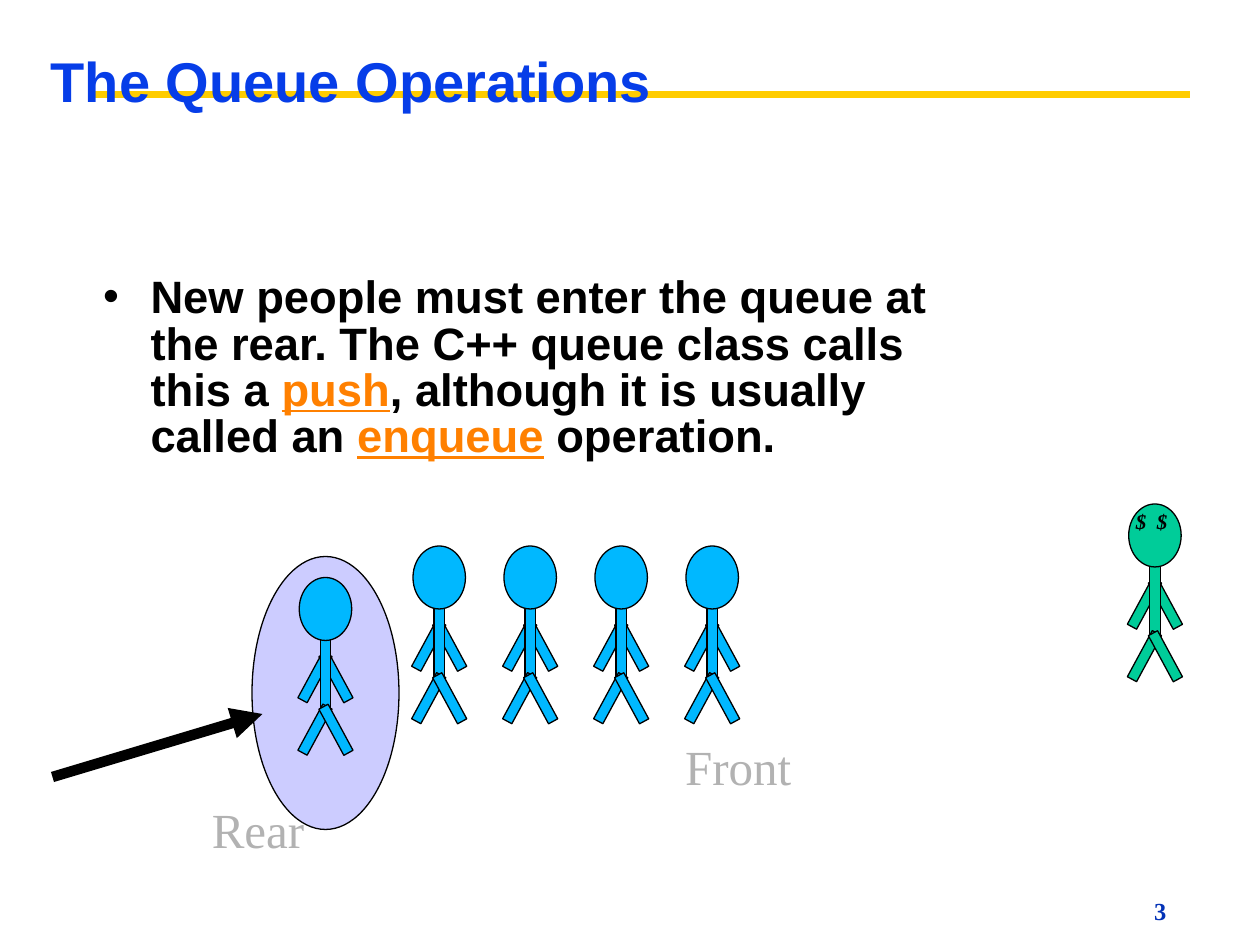
from pptx import Presentation
from pptx.dml.color import RGBColor
from pptx.enum.shapes import MSO_CONNECTOR as Connector, MSO_SHAPE as Shape
from pptx.oxml import parse_xml
from pptx.oxml.ns import nsdecls
from pptx.util import Pt

COLORS = {
    "title": "063DE8", "rule": "FFCC00", "black": "000000", "term": "FF8000",
    "label": "B2B2B2", "number": "0332B7", "halo": "CCCCFF",
    "customer": "00B8FF", "banker": "00CC99",
}


def write(shapes, text, at, size, color="black", font="Arial", bold=False,
          italic=False, spacing=None, insets=(5, 2.25), bullet=False, tab=None, terms=()):
    """Add a text box; words listed in terms are underlined and coloured."""
    box = shapes.add_textbox(*map(Pt, at))
    frame = box.text_frame
    frame.word_wrap = True
    frame.margin_left = frame.margin_right = Pt(insets[0])
    frame.margin_top = frame.margin_bottom = Pt(insets[1])
    para = frame.paragraphs[0]
    para.line_spacing = spacing
    props = para._p.get_or_add_pPr()
    if bullet:
        props.set("marL", str(Pt(27)))
        props.set("indent", str(-Pt(27)))
        props.append(parse_xml(f'<a:buFont {nsdecls("a")} typeface="Arial"/>'))
        props.append(parse_xml(f'<a:buChar {nsdecls("a")} char="•"/>'))
    if tab:
        props.append(parse_xml(
            f'<a:tabLst {nsdecls("a")}><a:tab pos="{Pt(tab)}" algn="l"/></a:tabLst>'))
    pieces = [text]
    for term in terms:
        before, after = pieces.pop().split(term, 1)
        pieces += [before, term, after]
    for piece in pieces:
        span = para.add_run()
        span.text = piece
        span.font.name = font
        span.font.size = Pt(size)
        span.font.bold = bold
        span.font.italic = italic
        span.font.underline = piece in terms
        span.font.color.rgb = RGBColor.from_string(
            COLORS["term" if piece in terms else color])


def draw(shapes, kind, at, fill, rotation=0):
    shape = shapes.add_shape(kind, *map(Pt, at))
    shape.shadow.inherit = False
    shape.rotation = rotation
    shape.fill.solid()
    shape.fill.fore_color.rgb = RGBColor.from_string(COLORS[fill])
    shape.line.color.rgb = RGBColor.from_string(COLORS["black"])
    shape.line.width = Pt(0.75)


deck = Presentation()
deck.slide_width, deck.slide_height = Pt(720), Pt(540)
page = deck.slides.add_slide(deck.slide_layouts[6])
shapes = page.shapes

# Title rule and the arrow to the rear of the queue
lines = []
for ends, color, width in [((54, 54, 680, 54), "rule", 4.5),
                           ((30, 444, 150, 408), "black", 6)]:
    line = shapes.add_connector(Connector.STRAIGHT, *map(Pt, ends))
    line.line.color.rgb = RGBColor.from_string(COLORS[color])
    line.line.width = Pt(width)
    line._element.spPr.append(parse_xml(f'<a:effectLst {nsdecls("a")}/>'))
    lines.append(line)
arrow = lines[1]
arrow.line._get_or_add_ln().append(
    parse_xml(f'<a:tailEnd {nsdecls("a")} type="triangle"/>'))

draw(shapes, Shape.OVAL, (144, 318, 84, 156), "halo")
write(shapes, "The Queue Operations", (24, 27, 612, 90), 32, "title",
      bold=True, spacing=0.95)
write(shapes,
      "New people must enter the queue at the rear. The C++ queue class calls "
      "this a push, although it is usually called an enqueue operation.",
      (54, 156, 486, 144), 25.9, bold=True, spacing=0.85, bullet=True,
      terms=("push", "enqueue"))

# Stick figures: left and top of each head, and colour
LIMB_TILT = 28.4
people = [(236 + 52 * place, 312, "customer") for place in range(4)]
people += [(645, 288, "banker"), (171, 330, "customer")]
for left, top, color in people:
    person = shapes.add_group_shape().shapes
    for kind, x, y, width, height, tilt in [
        (Shape.RECTANGLE, 6, 42, 6, 30, LIMB_TILT),
        (Shape.RECTANGLE, 18, 42, 6, 30, -LIMB_TILT),
        (Shape.RECTANGLE, 12, 30, 6, 48, 0),
        (Shape.OVAL, 0, 0, 30, 36, 0),
        (Shape.RECTANGLE, 6, 72, 6, 30, LIMB_TILT),
        (Shape.RECTANGLE, 18, 72, 6, 30, -LIMB_TILT),
    ]:
        draw(person, kind, (left + x, top + y, width, height), color, tilt)
    if color == "banker":
        write(person, "$\t$", (left - 3, top, 36, 36), 12, font="Times New Roman",
              bold=True, italic=True, spacing=0.95, insets=(7.2, 3.6), tab=12)

# The arrow lies over the halo and the figures
shapes._spTree.append(arrow._element)

for label, left, top, width in [("Front", 384.5, 420, 75), ("Rear", 114, 456, 67)]:
    write(shapes, label, (left, top, width, 39), 28, "label",
          font="Times New Roman", spacing=0.95, insets=(7.2, 3.6))
write(shapes, "3", (654.5, 510, 60, 21), 14, "number", font="Times New Roman", bold=True)

deck.save("out.pptx")
